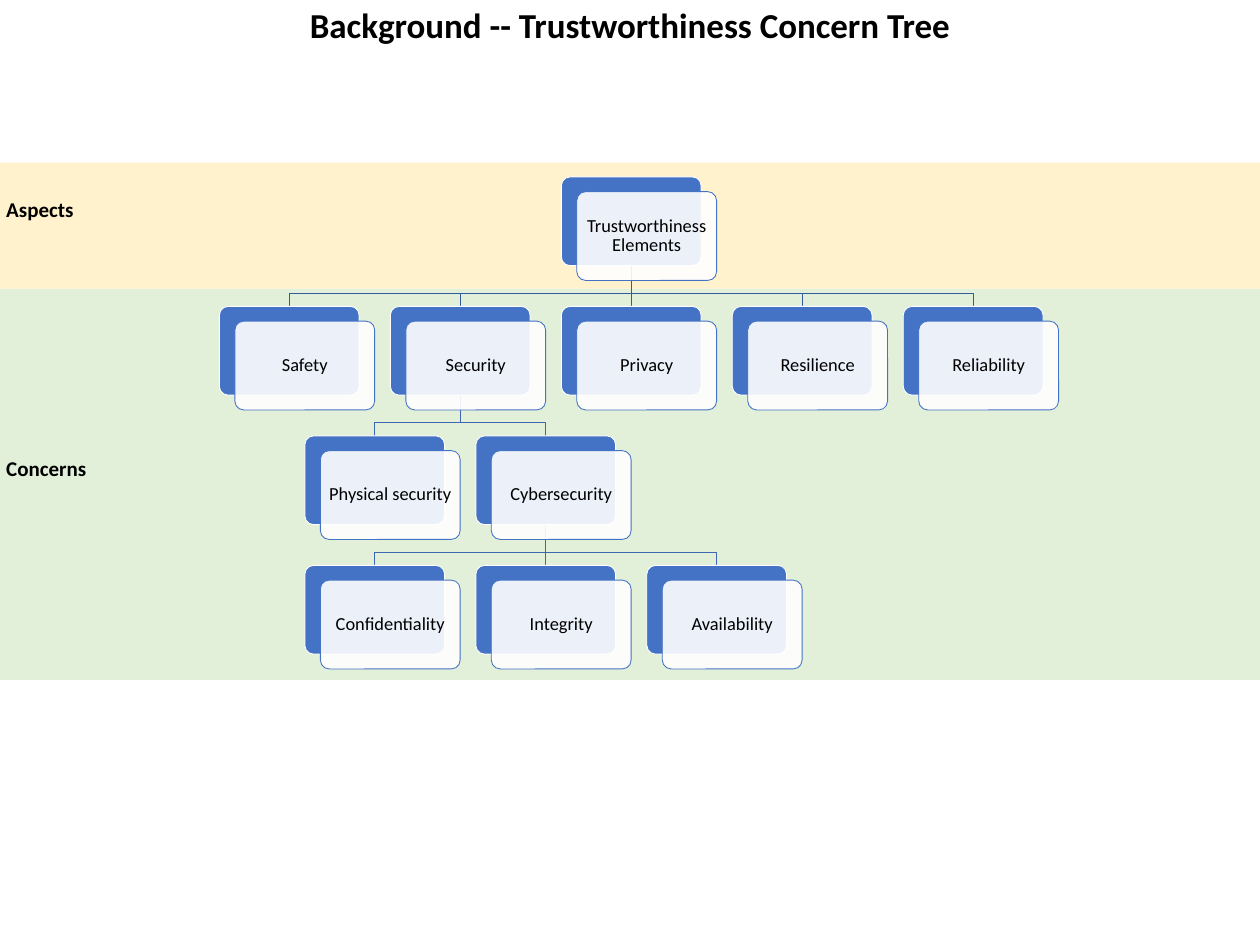
"""Build the trustworthiness concern tree slide."""
from lxml import etree
from pptx import Presentation
from pptx.dml.color import RGBColor
from pptx.enum.shapes import MSO_CONNECTOR, MSO_SHAPE
from pptx.enum.text import MSO_ANCHOR, MSO_AUTO_SIZE, PP_ALIGN
from pptx.oxml.ns import qn
from pptx.util import Pt

RECT, ROUNDED = MSO_SHAPE.RECTANGLE, MSO_SHAPE.ROUNDED_RECTANGLE
STRAIGHT = MSO_CONNECTOR.STRAIGHT
TOP, MIDDLE = MSO_ANCHOR.TOP, MSO_ANCHOR.MIDDLE
LEFT, CENTER = PP_ALIGN.LEFT, PP_ALIGN.CENTER
NO_AUTOFIT = MSO_AUTO_SIZE.NONE

TITLE = "Background -- Trustworthiness Concern Tree"
BANDS = [("concerns", 329.8, 447.1), ("aspects", 185.8, 144)]
LABELS = [("Aspects", 221, 92.2), ("Concerns", 517, 107.3)]
ROOT = "Trustworthiness Elements"
# name, parent, column, row
NODES = [
    (ROOT, None, 2, 0),
    ("Safety", ROOT, 0, 1),
    ("Security", ROOT, 1, 1),
    ("Privacy", ROOT, 2, 1),
    ("Resilience", ROOT, 3, 1),
    ("Reliability", ROOT, 4, 1),
    ("Physical security", "Security", 0.5, 2),
    ("Cybersecurity", "Security", 1.5, 2),
    ("Confidentiality", "Cybersecurity", 0.5, 3),
    ("Integrity", "Cybersecurity", 1.5, 3),
    ("Availability", "Cybersecurity", 2.5, 3),
]
COLORS = {
    "aspects": "FFF2CC", "concerns": "E2F0D9", "card": "4472C4",
    "white": "FFFFFF", "text": "000000",
    "root_link": "365B9D", "link": "3E67B2",
}
FONT = "Calibri"
SLIDE_W, SLIDE_H = 1440, 1080
TREE_X, TREE_Y = 250.7, 202.1
COL_STEP, ROW_STEP = 195.4, 148
CARD_W, CARD_H = 159.8, 101.5
SHIFT_X, SHIFT_Y = 17.7, 16.9
LINK_DROP = 31.7
CARD_INSET = 6.5


def rgb(name):
    return RGBColor.from_string(COLORS[name])


def set_text(tf, text, size, bold=False, align=LEFT, anchor=TOP, wrap=False):
    tf.auto_size = NO_AUTOFIT
    tf.word_wrap = wrap
    tf.vertical_anchor = anchor
    p = tf.paragraphs[0]
    p.text = text
    p.alignment = align
    p.font.name, p.font.size, p.font.bold = FONT, Pt(size), bold
    p.font.color.rgb = rgb("text")
    return p


def add_box(shapes, kind, x, y, w, h, fill, line=None):
    s = shapes.add_shape(kind, Pt(x), Pt(y), Pt(w), Pt(h))
    s.shadow.inherit = False
    s.fill.solid()
    s.fill.fore_color.rgb = rgb(fill)
    if line:
        s.line.color.rgb = rgb(line)
        s.line.width = Pt(1)
    else:
        s.line.fill.background()
    return s


def add_card(shapes, text, x, y):
    back = add_box(shapes, ROUNDED, x, y, CARD_W, CARD_H, "card", "white")
    front = add_box(shapes, ROUNDED, x + SHIFT_X, y + SHIFT_Y,
                    CARD_W, CARD_H, "white", "card")
    for s in (back, front):
        s.adjustments[0] = 0.1
    color = front._element.spPr.find(qn("a:solidFill"))[0]
    etree.SubElement(color, qn("a:alpha"), val="90000")
    tf = front.text_frame
    tf.margin_left = tf.margin_right = Pt(CARD_INSET)
    tf.margin_top = tf.margin_bottom = Pt(CARD_INSET)
    set_text(tf, text, 21, False, CENTER, MIDDLE, True).line_spacing = 0.9


def add_link(shapes, parent, child, color):
    x1, y1 = parent[0] + CARD_W / 2, parent[1] + CARD_H
    x2, y2 = child[0] + CARD_W / 2, child[1]
    if x1 == x2:
        s = shapes.add_connector(STRAIGHT, Pt(x1), Pt(y1), Pt(x2), Pt(y2))
    else:
        bend = y1 + LINK_DROP
        points = [(x1, bend), (x2, bend), (x2, y2)]
        path = shapes.build_freeform(Pt(x1), Pt(y1))
        path.add_line_segments([(Pt(x), Pt(y)) for x, y in points], close=False)
        s = path.convert_to_shape()
        s.fill.background()
    s.line.color.rgb = rgb(color)
    s.line.width = Pt(1)
    etree.SubElement(s._element.spPr, qn("a:effectLst"))


def main():
    prs = Presentation()
    prs.slide_width, prs.slide_height = Pt(SLIDE_W), Pt(SLIDE_H)
    slide = prs.slides.add_slide(prs.slide_layouts[5])
    shapes = slide.shapes

    title = shapes.title
    title.left, title.top = Pt(342.7), Pt(0)
    title.width, title.height = Pt(754.6), Pt(55.4)
    set_text(title.text_frame, TITLE, 40, True, CENTER)

    for name, y, h in BANDS:
        add_box(shapes, RECT, 0, y, SLIDE_W, h, name)

    spots = {name: (TREE_X + col * COL_STEP, TREE_Y + row * ROW_STEP)
             for name, _, col, row in NODES}
    for name, parent, _, _ in NODES:
        if parent:
            color = "root_link" if parent == ROOT else "link"
            add_link(shapes, spots[parent], spots[name], color)
    for name, (x, y) in spots.items():
        add_card(shapes, name, x, y)

    for text, y, w in LABELS:
        s = shapes.add_textbox(Pt(0), Pt(y), Pt(w), Pt(36))
        set_text(s.text_frame, text, 24, True)

    prs.save("out.pptx")


if __name__ == "__main__":
    main()
